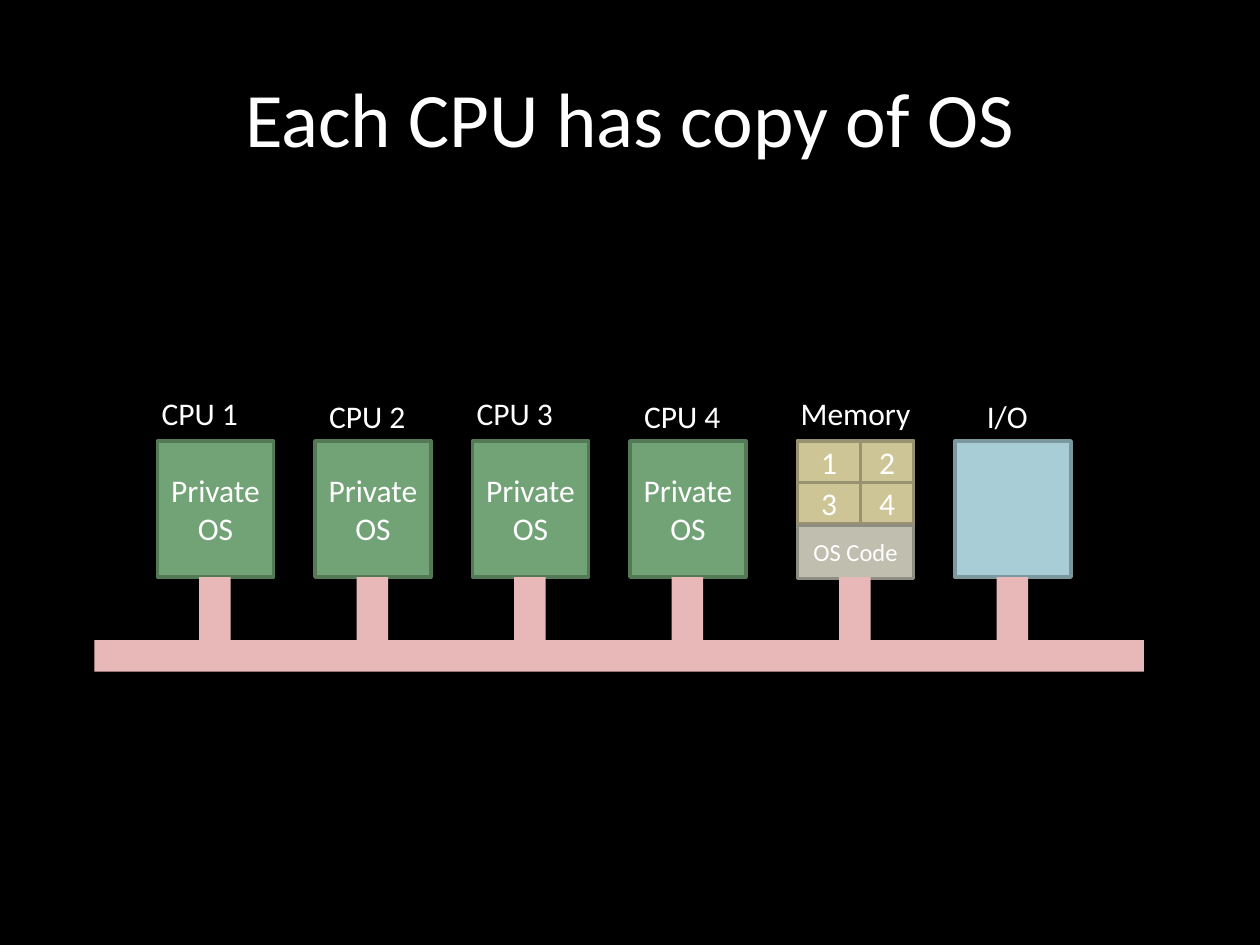
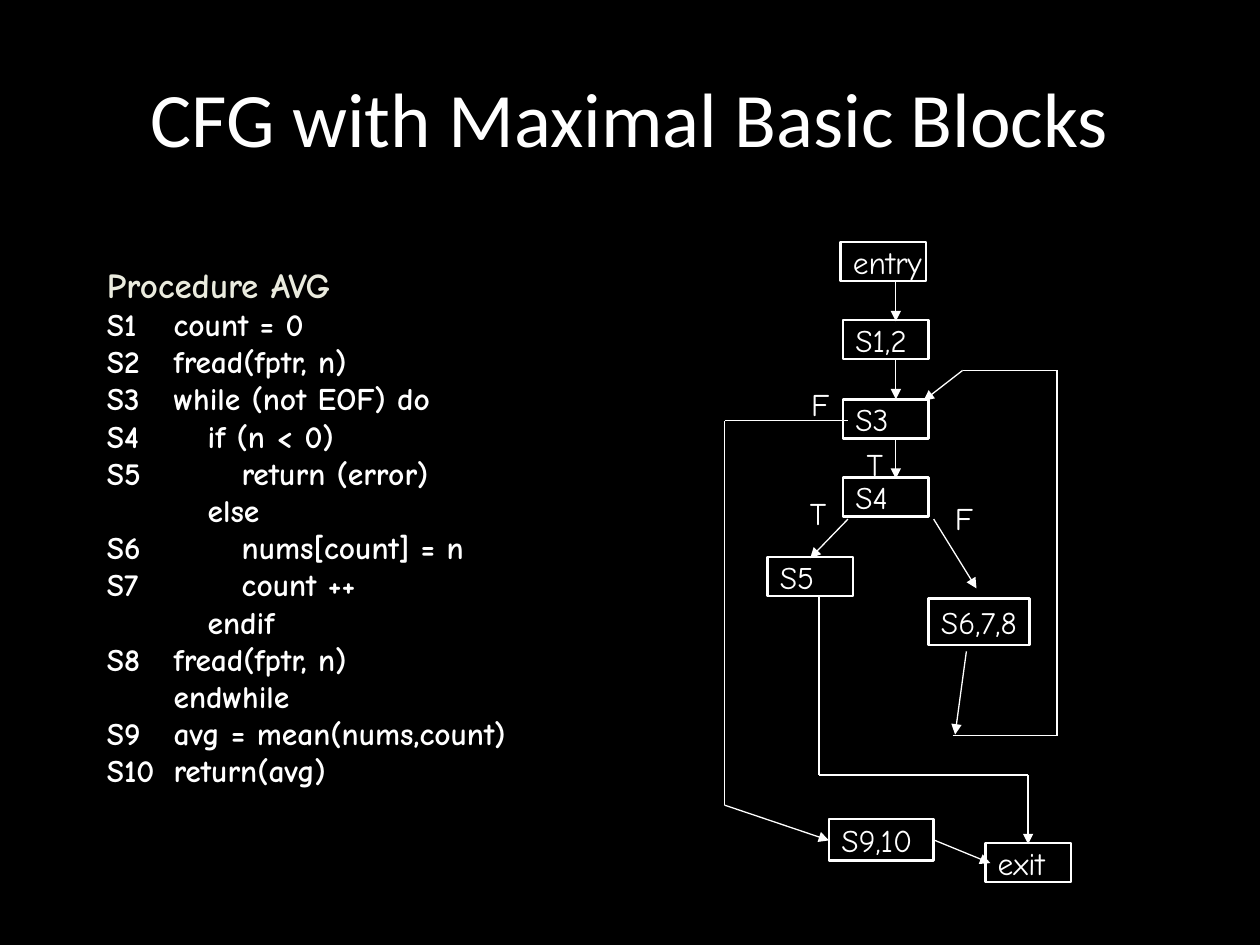
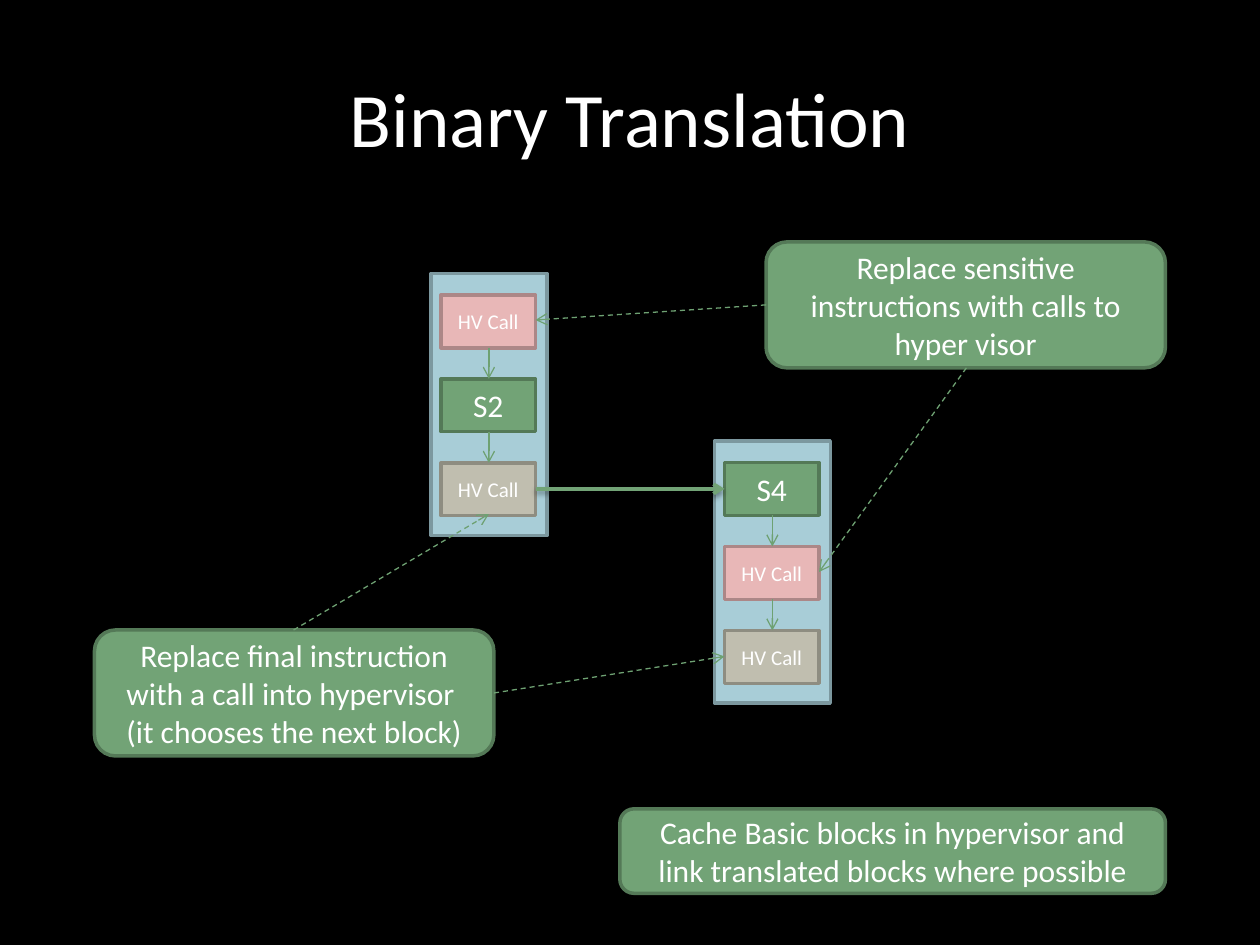
from dataclasses import dataclass
from itertools import pairwise

from lxml import etree
from pptx import Presentation
from pptx.dml.color import RGBColor
from pptx.enum import dml, shapes, text
from pptx.oxml.ns import qn
from pptx.util import Inches, Pt

RECT = shapes.MSO_SHAPE.RECTANGLE
ROUND = shapes.MSO_SHAPE.ROUNDED_RECTANGLE
MID = text.MSO_ANCHOR.MIDDLE
LEFT, CENTER = text.PP_ALIGN.LEFT, text.PP_ALIGN.CENTER


@dataclass(frozen=True)
class Theme:
    back: str = "000000"
    ink: str = "FFFFFF"
    cream: str = "EAEBDE"
    bus: str = "E8B7B7"
    arrow: str = "6EA172"
    # Each pair is a fill and its outline.
    green: tuple = ("72A376", "547957")
    sand: tuple = ("CEC597", "989270")
    blue: tuple = ("A8CDD7", "7C989F")
    gray: tuple = ("C0BEAF", "8E8D81")
    pink: tuple = ("E8B7B7", "AC8787")
    font: str = "Calibri"
    hand: str = "Comic Neue"
    title: int = 44
    head: int = 20
    body: int = 18
    small: int = 14
    tiny: int = 12
    thin: float = 0.75
    edge: float = 1.5
    thick: int = 2


def rgb(code):
    return RGBColor.from_string(code)


def inches(*sizes):
    return [Inches(size) for size in sizes]


def lead(para, percent):
    """Set the space before a paragraph as a share of its text size."""
    para.space_before = Pt(0)
    space = para._p.pPr.find(qn("a:spcBef"))
    space.remove(space[0])
    etree.SubElement(space, qn("a:spcPct"), val=str(percent * 1000))


class Deck:
    def __init__(self, theme):
        self.theme = theme
        self.prs = Presentation()
        self.prs.slide_width, self.prs.slide_height = inches(10, 7.5)
        fill = self.prs.slide_master.background.fill
        fill.solid()
        fill.fore_color.rgb = rgb(theme.back)

    def page(self, title):
        slide = self.prs.slides.add_slide(self.prs.slide_layouts[6])
        self.shapes = slide.shapes
        box = self.label(title, 0.5, 0.3, 9, 1.25, size=self.theme.title)
        box.text_frame.vertical_anchor = MID

    def style(self, para, size, font=None, color=None, bold=False):
        for run in para.runs:
            run.font.size = Pt(size)
            run.font.name = font or self.theme.font
            run.font.bold = bold
            run.font.color.rgb = rgb(color or self.theme.ink)

    def put(self, frame, words, size=None, font=None, align=CENTER, before=0):
        """Set the words of a text frame and format them."""
        frame.text = words
        for para in frame.paragraphs:
            para.alignment = align
            if before:
                lead(para, before)
            self.style(para, size or self.theme.body, font)

    def label(self, words, x, y, wide, high=0.4, **look):
        box = self.shapes.add_textbox(*inches(x, y, wide, high))
        box.text_frame.word_wrap = True
        self.put(box.text_frame, words, **look)
        return box

    def box(self, x, y, wide, high, pair, words="", size=None, kind=RECT):
        """Draw a filled shape; a pair without an outline colour gets no line."""
        shape = self.shapes.add_shape(kind, *inches(x, y, wide, high))
        shape.shadow.inherit = False
        fill, edge = pair
        shape.fill.solid()
        shape.fill.fore_color.rgb = rgb(fill)
        if edge:
            shape.line.color.rgb = rgb(edge)
            shape.line.width = Pt(self.theme.thick)
        else:
            shape.line.fill.background()
        if words:
            frame = shape.text_frame
            frame.word_wrap = True
            frame.vertical_anchor = MID
            self.put(frame, words, size)

    def node(self, words, x, y, wide=0.68, high=0.31):
        """Draw an outlined block of a flow graph."""
        shape = self.shapes.add_shape(RECT, *inches(x, y, wide, high))
        shape.shadow.inherit = False
        shape.fill.background()
        shape.line.color.rgb = rgb(self.theme.ink)
        shape.line.width = Pt(self.theme.edge)
        frame = shape.text_frame
        frame.word_wrap = False
        frame.vertical_anchor = MID
        self.put(frame, words, font=self.theme.hand, align=LEFT, before=50)

    def mark(self, words, x, y):
        """Name the branch of a flow graph."""
        box = self.label(words, x, y, 0.37, font=self.theme.hand,
                         align=LEFT, before=50)
        box.text_frame.word_wrap = False
        box.text_frame.vertical_anchor = MID

    def line(self, start, end, color, width=None, head=None, dash=False, shade=False):
        line = self.shapes.add_connector(
            shapes.MSO_CONNECTOR.STRAIGHT, *inches(*start, *end))
        line.line.color.rgb = rgb(color)
        line.line.width = Pt(width or self.theme.thin)
        if dash:
            line.line.dash_style = dml.MSO_LINE.DASH
        props = line._element.spPr
        if head:
            etree.SubElement(props.find(qn("a:ln")), qn("a:tailEnd"), type=head)
        effects = etree.SubElement(props, qn("a:effectLst"))
        if shade:
            shadow = etree.SubElement(
                effects, qn("a:outerShdw"), blurRad=str(Pt(3.1)),
                dist=str(Pt(1.6)), dir="5400000", rotWithShape="0")
            tint = etree.SubElement(shadow, qn("a:srgbClr"), val="000000")
            etree.SubElement(tint, qn("a:alpha"), val="38000")

    def route(self, *points, head="triangle"):
        """Join points with lines; the last one carries the arrowhead."""
        legs = list(pairwise(points))
        for spot, (start, end) in enumerate(legs, 1):
            self.line(start, end, self.theme.ink,
                      head=head if spot == len(legs) else None)

    def code(self, title, rows, x, y, wide, high):
        """List code rows of (label, level, words), indented by level."""
        box = self.label("", x, y, wide, high)
        frame = box.text_frame
        frame.text = "\n".join(
            [title] + [f"{tag}\t{words}" if tag else words for tag, _, words in rows])
        first, *rest = frame.paragraphs
        theme = self.theme
        self.style(first, theme.head, theme.hand, theme.cream, True)
        for para, (tag, level, _) in zip(rest, rows):
            self.style(para, theme.body, theme.hand, bold=True)
            left = Inches(0.53 + 0.27 * level)
            props = para._p.get_or_add_pPr()
            props.set("marL", str(left))
            props.set("indent", str(-left if tag else 0))
        for para in frame.paragraphs:
            para.alignment = LEFT
            para.line_spacing = 0.9
            lead(para, 10)


def copies(deck):
    theme = deck.theme
    top, wide, high = 3.5, 0.92, 1.08
    deck.page("Each CPU has copy of OS")
    spots = [1.25 + 1.25 * i for i in range(4)]
    memory, port = 6.33, 7.58
    for i, x in enumerate(spots):
        deck.box(x, top, wide, high, theme.green, "Private OS")
        shift, y = (0, 3.1) if i % 2 else (-0.08, 3.08)
        deck.label(f"CPU {i + 1}", x + shift, y, 0.83)
    deck.label("Memory", memory - 0.08, 3.08, 1.08)
    deck.box(memory, top, wide, high, theme.sand)
    deck.box(port, top, wide, high, theme.blue)
    deck.label("I/O", port, 3.1, 0.83)
    for i in range(4):
        row, col = divmod(i, 2)
        deck.box(memory + 0.5 * col, top + 0.33 * row, 0.42 if col else 0.5, 0.33,
                 theme.sand, str(i + 1))
    deck.box(memory, 4.17, wide, 0.42, theme.gray, "OS Code", theme.small)
    plain = (theme.bus, None)
    deck.box(0.75, 5.08, 8.33, 0.25, plain)
    for x in [*spots, memory, port]:
        deck.box(x + 0.33, 4.58, 0.25, 0.5, plain)


def graph(deck):
    deck.page("CFG with Maximal Basic Blocks")
    for block in [
        ("entry", 6.67, 1.92), ("S1,2", 6.69, 2.54), ("S3", 6.69, 3.17),
        ("S4", 6.69, 3.79), ("S5", 6.09, 4.42), ("S6,7,8", 7.37, 4.75, 0.8, 0.37),
        ("S9,10", 6.58, 6.5, 0.83, 0.33), ("exit", 7.82, 6.69),
    ]:
        deck.node(*block)
    for name in [("F", 6.34, 3.01), ("T", 6.78, 3.48),
                 ("T", 6.33, 3.87), ("F", 7.48, 3.91)]:
        deck.mark(*name)
    for y in (2.24, 2.86, 3.49):
        deck.route((7.11, y), (7.11, y + 0.31))
    deck.route((6.73, 4.12), (6.43, 4.43))
    deck.route((7.41, 4.12), (7.75, 4.67))
    deck.route((7.67, 5.17), (7.58, 5.83))
    deck.route((7.42, 6.67), (7.86, 6.85))
    deck.route((6.5, 4.74), (6.5, 6.15), (8.16, 6.15), (8.16, 6.7))
    deck.route((6.73, 3.34), (5.75, 3.34), (5.75, 6.39), (6.58, 6.67))
    deck.route((7.56, 5.84), (8.39, 5.84), (8.39, 2.94), (7.64, 2.94), (7.33, 3.18))
    deck.code("Procedure AVG", [
        ("S1", 0, "count = 0"),
        ("S2", 0, "fread(fptr, n)"),
        ("S3", 0, "while (not EOF) do"),
        ("S4", 1, "if (n < 0)"),
        ("S5", 2, "return (error)"),
        ("", 1, "else"),
        ("S6", 2, "nums[count] = n"),
        ("S7", 2, "count ++"),
        ("", 1, "endif"),
        ("S8", 0, "fread(fptr, n)"),
        ("", 0, "endwhile"),
        ("S9", 0, "avg = mean(nums,count)"),
        ("S10", 0, "return(avg)"),
    ], 0.75, 2.08, 4.25, 5)


def binary(deck):
    theme = deck.theme
    deck.page("Binary Translation")
    call = ("HV Call", theme.pink, theme.tiny)
    last = ("HV Call", theme.gray, theme.tiny)
    step, high = 2 / 3, 0.42

    def stack(x, y, *parts):
        deck.box(x, y, 0.92, 2.08, theme.blue)
        for i, (words, pair, size) in enumerate(parts):
            top = y + 0.17 + step * i
            deck.box(x + 0.08, top, 0.75, high, pair, words, size)
            if i:
                deck.line((x + 0.46, top - step + high), (x + 0.46, top),
                          theme.arrow, head="arrow")

    stack(5.67, 3.5, ("S4", theme.green, theme.body), call, last)
    stack(3.42, 2.17, call, ("S2", theme.green, theme.body), last)
    deck.line((4.25, 3.88), (5.75, 3.88), theme.green[0], theme.thick,
              "arrow", shade=True)
    for x, y, wide, tall, words in [
        (6.08, 1.92, 3.17, 1,
         "Replace sensitive instructions with calls to hyper visor"),
        (0.75, 5, 3.17, 1, "Replace final instruction with a call into hypervisor \n"
         "(it chooses the next block)"),
        (4.92, 6.42, 4.33, 0.67, "Cache Basic blocks in hypervisor and "
         "link translated blocks where possible"),
    ]:
        deck.box(x, y, wide, tall, theme.green, words, kind=ROUND)
    for start, end in [
        ((6.08, 2.42), (4.25, 2.54)), ((7.67, 2.92), (6.5, 4.54)),
        ((2.33, 5), (3.88, 4.08)), ((3.92, 5.5), (5.75, 5.21)),
    ]:
        deck.line(start, end, theme.arrow, head="arrow", dash=True)


def main():
    deck = Deck(Theme())
    copies(deck)
    graph(deck)
    binary(deck)
    deck.prs.save("out.pptx")


if __name__ == "__main__":
    main()
